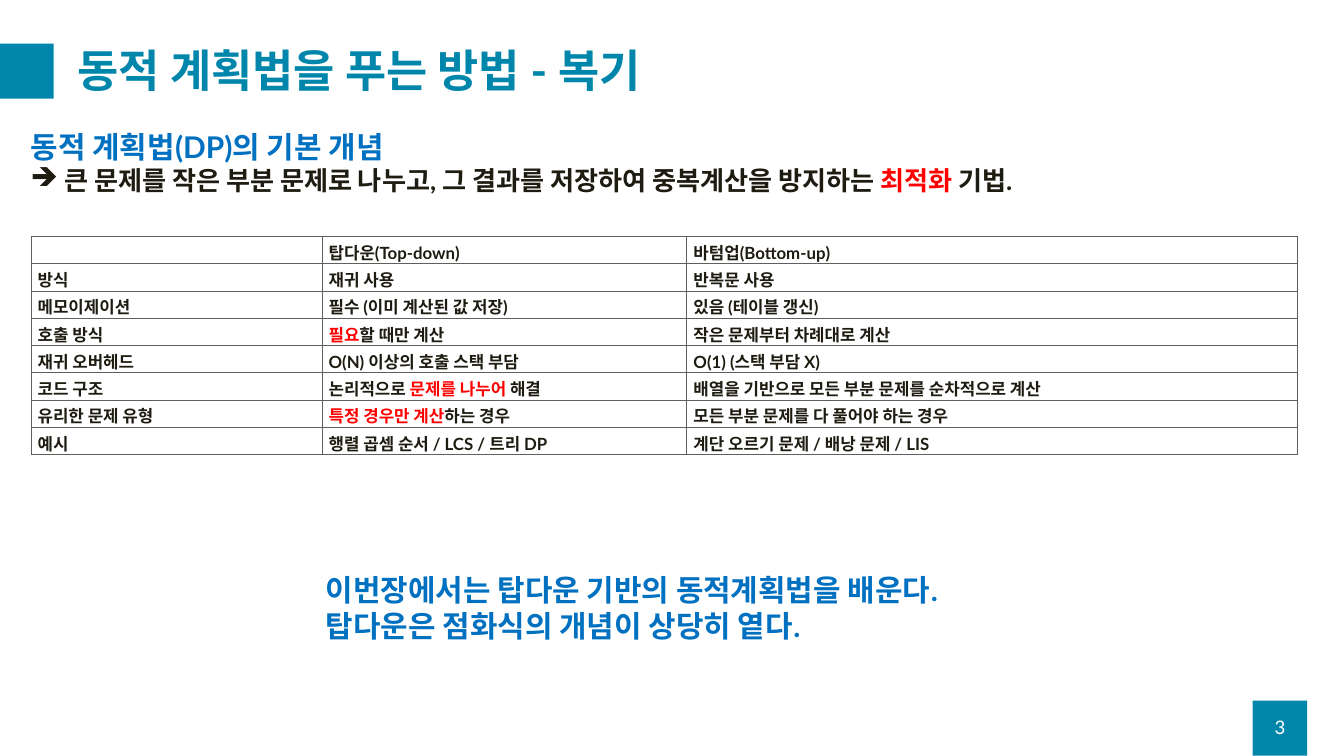
from dataclasses import dataclass

from lxml.etree import SubElement
from pptx import Presentation
from pptx.dml.color import RGBColor
from pptx.enum.shapes import MSO_SHAPE
from pptx.enum.text import MSO_ANCHOR, MSO_AUTO_SIZE, PP_ALIGN
from pptx.oxml.ns import qn
from pptx.util import Cm, Pt


@dataclass(frozen=True)
class Theme:
    face: str = "Lato"
    teal: str = "0086AB"
    blue: str = "0070C0"
    dark: str = "1E1C11"
    red: str = "FF0000"
    white: str = "FFFFFF"
    rule: str = "5F5F5F"
    title: int = 48
    head: int = 32
    body: int = 28
    page: int = 20
    cell: int = 18


THEME = Theme()

ROWS = [
    ("", "탑다운(Top-down)", "바텀업(Bottom-up)"),
    ("방식", "재귀 사용", "반복문 사용"),
    ("메모이제이션", "필수 (이미 계산된 값 저장)", "있음 (테이블 갱신)"),
    ("호출 방식", "*필요*할 때만 계산", "작은 문제부터 차례대로 계산"),
    ("재귀 오버헤드", "O(N) 이상의 호출 스택 부담", "O(1) (스택 부담 X)"),
    ("코드 구조", "논리적으로 *문제를 나누어* 해결",
     "배열을 기반으로 모든 부분 문제를 순차적으로 계산"),
    ("유리한 문제 유형", "*특정 경우만 계산*하는 경우", "모든 부분 문제를 다 풀어야 하는 경우"),
    ("예시", "행렬 곱셈 순서 / LCS / 트리 DP", "계단 오르기 문제 / 배낭 문제 / LIS"),
]
WIDTHS = (11, 13.79, 23.09)


def apply(item, form):
    for key, value in form.items():
        setattr(item, key, value)


def write(para, text, size, color, bold=True):
    form = {"name": THEME.face, "size": Pt(size), "bold": bold}
    for i, part in enumerate(text.split("*")):
        if part:
            run = para.add_run()
            run.text = part
            apply(run.font, form)
            run.font.color.rgb = RGBColor.from_string(THEME.red if i % 2 else color)


def add_block(slide, left, top):
    block = slide.shapes.add_shape(
        MSO_SHAPE.RECTANGLE, Cm(left), Cm(top), Cm(2.06), Cm(2.08))
    block.shadow.inherit = False
    block.fill.solid()
    block.fill.fore_color.rgb = RGBColor.from_string(THEME.teal)
    block.line.fill.background()


def add_text(slide, place, lines, frame_form, para_form=None, bold=True):
    frame = slide.shapes.add_textbox(*map(Cm, place)).text_frame
    apply(frame, {"word_wrap": True, **frame_form})
    for i, line in enumerate(lines):
        para = frame.add_paragraph() if i else frame.paragraphs[0]
        apply(para, para_form or {})
        write(para, *line, bold=bold)
    return frame


def add_arrow(para):
    props = para._p.get_or_add_pPr()
    props.set("marL", str(Cm(1.27)))
    props.set("indent", str(-Cm(1.27)))
    SubElement(props, qn("a:buChar")).set("char", "➔")


def add_edges(cell):
    props = cell._tc.get_or_add_tcPr()
    for side in "LRTB":
        line = SubElement(props, qn(f"a:ln{side}"), w=str(Pt(1)))
        fill = SubElement(line, qn("a:solidFill"))
        SubElement(fill, qn("a:srgbClr"), val=THEME.rule)


def add_grid(slide, left, top, high):
    table = slide.shapes.add_table(
        len(ROWS), len(WIDTHS), Cm(left), Cm(top),
        Cm(sum(WIDTHS)), Cm(high * len(ROWS))).table
    apply(table, {"first_row": False, "horz_banding": False})
    for column, width in zip(table.columns, WIDTHS):
        column.width = Cm(width)
    form = {"margin_left": Cm(0.25), "margin_right": Cm(0.25),
            "margin_top": Cm(0.13), "margin_bottom": Cm(0)}
    for r, texts in enumerate(ROWS):
        table.rows[r].height = Cm(high)
        for c, text in enumerate(texts):
            cell = table.cell(r, c)
            apply(cell, form)
            add_edges(cell)
            cell.fill.background()
            write(cell.text_frame.paragraphs[0], text, THEME.cell, THEME.dark)


def main():
    deck = Presentation()
    apply(deck, {"slide_width": Cm(50.8), "slide_height": Cm(28.58)})
    slide = deck.slides.add_slide(deck.slide_layouts[6])
    middle = {"vertical_anchor": MSO_ANCHOR.MIDDLE}
    grow = {"auto_size": MSO_AUTO_SIZE.SHAPE_TO_FIT_TEXT}

    add_block(slide, 47.35, 26.49)
    add_block(slide, -0.03, 1.65)
    add_text(slide, (2.69, 1.27, 46.36, 3),
             [("동적 계획법을 푸는 방법 - 복기", THEME.title, THEME.teal)],
             middle, {"line_spacing": 0.9})
    add_text(slide, (47.35, 26.72, 2.06, 1.52), [("3", THEME.page, THEME.white)],
             middle, {"alignment": PP_ALIGN.CENTER}, bold=False)
    intro = add_text(slide, (0.91, 4.75, 48.13, 2.82), [
        ("동적 계획법(DP)의 기본 개념", THEME.head, THEME.blue),
        ("큰 문제를 작은 부분 문제로 나누고, 그 결과를 저장하여 중복계산을 방지하는 *최적화* 기법.",
         THEME.body, THEME.dark),
    ], grow)
    add_arrow(intro.paragraphs[1])
    add_grid(slide, 1.17, 8.94, 1.03)
    add_text(slide, (12.07, 21.49, 28.42, 3), [
        ("이번장에서는 탑다운 기반의 동적계획법을 배운다.", THEME.head, THEME.blue),
        ("탑다운은 점화식의 개념이 상당히 옅다.", THEME.head, THEME.blue),
    ], grow)
    deck.save("out.pptx")


if __name__ == "__main__":
    main()
